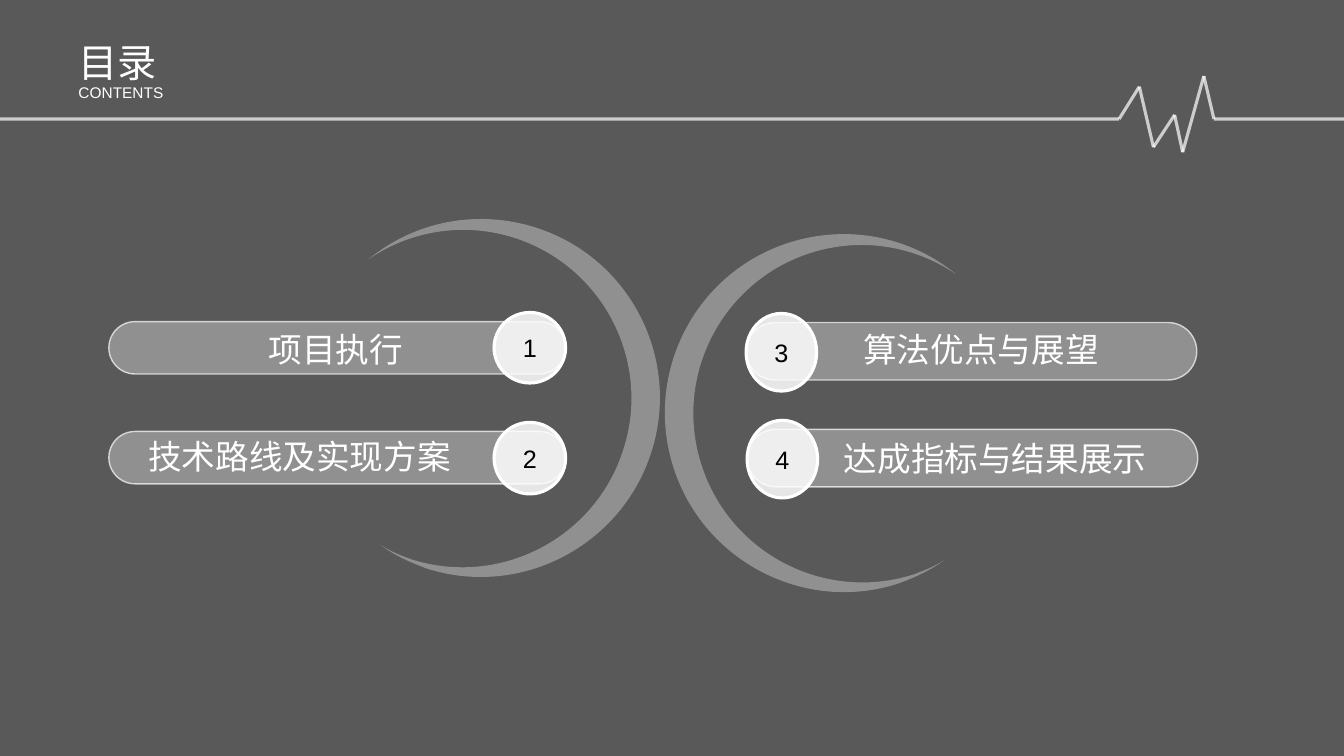
from math import cos, radians, sin
from lxml import etree
from pptx import Presentation
from pptx.dml.color import RGBColor
from pptx.enum.shapes import MSO_CONNECTOR, MSO_SHAPE
from pptx.enum.text import MSO_ANCHOR, MSO_AUTO_SIZE, PP_ALIGN
from pptx.oxml.ns import qn
from pptx.util import Inches, Pt

RECT, PILL, DISC = MSO_SHAPE.RECTANGLE, MSO_SHAPE.ROUNDED_RECTANGLE, MSO_SHAPE.OVAL
LINE = MSO_CONNECTOR.STRAIGHT
MID, GROW = MSO_ANCHOR.MIDDLE, MSO_AUTO_SIZE.SHAPE_TO_FIT_TEXT
LEFT, MIDDLE = PP_ALIGN.LEFT, PP_ALIGN.CENTER
HUES = {"pale": "FCFCFC", "white": "FFFFFF", "black": "000000"}
CELL = Inches(0.1)  # the slide is a grid of 133.33 columns by 75 rows


def paint(fill, hue, share=100):
    fill.solid()
    fill.fore_color.rgb = RGBColor.from_string(HUES[hue])
    if share < 100:
        for tone in fill._xPr.iter(qn("a:srgbClr")):
            etree.SubElement(tone, qn("a:alpha"), val=str(share * 1000))


def write(shape, text, size, hue, align):
    para = shape.text_frame.paragraphs[0]
    para.alignment = align
    run = para.add_run()
    run.text = text
    run.font.name, run.font.size = "Arial", Pt(size)
    run.font.color.rgb = RGBColor.from_string(HUES[hue])
    return para


deck = Presentation()
deck.slide_width, deck.slide_height = Inches(13.33), Inches(7.5)
slide = deck.slides.add_slide(deck.slide_layouts[6])
shapes = slide.shapes

# Dark veil over the whole slide
veil = shapes.add_shape(RECT, 0, 0, deck.slide_width, deck.slide_height)
veil.shadow.inherit = False
paint(veil.fill, "black", 65)
veil.line.fill.background()

# Pulse line under the title
pulse = [(0, 11.8), (111, 11.8), (113, 8.6), (114.4, 14.6), (116.5, 11.4),
         (117.3, 15.1), (119.4, 7.55), (120.4, 11.8), (133.3, 11.8)]
for start, end in zip(pulse, pulse[1:]):
    beat = shapes.add_connector(LINE, *[int(n * CELL) for n in start + end])
    beat.line.width = Pt(2.25)
    paint(beat.line.fill, "white", 70)
    etree.SubElement(beat._element.spPr, qn("a:effectLst"))

# Title
for text, size, top, wide, high, gap in [("目录", 28, 3.3, 38.8, 5.7, 1),
                                         ("CONTENTS", 11, 7.5, 43.5, 3, 1.14)]:
    box = shapes.add_textbox(*[int(n * CELL) for n in (6.8, top, wide, high)])
    box.text_frame.word_wrap = True
    box.text_frame.auto_size = GROW
    write(box, text, size, "white", LEFT).line_spacing = gap

# Crescents: a start point, then three points for each curve, mirrored on the right
moon = [(53.2, 22.6),
        (62.5, 25.6), (67.6, 35.6), (64.6, 44.9), (61.6, 54.2), (51.6, 59.4), (42.3, 56.4),
        (40.7, 55.8), (39.1, 55.1), (37.8, 54.1), (38.7, 54.7), (39.7, 55.1), (40.8, 55.5),
        (49.6, 58.3), (59, 53.4), (61.8, 44.7), (64.7, 35.9), (59.8, 26.4), (51, 23.6),
        (46, 22), (40.7, 22.9), (36.6, 25.7), (41.1, 22), (47.3, 20.7), (53.2, 22.6)]
hub, row, tilt = 49.1, 39.95, 17.8
lean = radians(tilt)
for side, mid, drop in [(1, hub, 0), (-1, 131.4 - hub, 1.5)]:
    edge = []
    for x, y in moon:
        dx, dy = x - hub, y - row
        edge.append((int((mid + side * (dx * cos(lean) + dy * sin(lean))) * CELL),
                     int((row + drop + dy * cos(lean) - dx * sin(lean)) * CELL)))
    pen = shapes.build_freeform(*edge[0])
    pen.add_line_segments(edge[1:], close=True)
    arc = pen.convert_to_shape()
    steps = list(arc._element.iter(qn("a:lnTo")))
    for first in range(0, 24, 3):
        curve = etree.Element(qn("a:cubicBezTo"))
        steps[first].addprevious(curve)
        for step in steps[first:first + 3]:
            curve.append(step[0])
            step.getparent().remove(step)
    arc.rotation = side * tilt
    arc.shadow.inherit = False
    paint(arc.fill, "pale", 34)
    arc.line.fill.background()

# Entries: number, text, pill, disc, text box, left inset, alignment
entries = [
    ("1", "项目执行", (10.8, 31.9, 45.3, 5.2), (49, 31, 7.1, 7),
     (10.5, 32.1, 45.6, 5), 1, MIDDLE),
    ("3", "算法优点与展望", (74, 32, 44.7, 5.7), (74, 31.1, 7, 7.7),
     (74, 32.1, 46.6, 5), 1, MIDDLE),
    ("4", "达成指标与结果展示", (74.1, 42.6, 44.7, 5.7), (74.1, 41.7, 7, 7.7),
     (76, 43, 45.4, 5), 1, MIDDLE),
    ("2", "技术路线及实现方案", (10.8, 42.8, 45.3, 5.2), (49, 41.9, 7.1, 7.1),
     (6.3, 42.8, 45.6, 5), 8.4, LEFT),
]
for number, text, pill, disc, area, inset, align in entries:
    for kind, place, hue, share, width, rim in [(PILL, pill, "pale", 34, 1, 70),
                                                (DISC, disc, "white", 85, 2.25, 100)]:
        part = shapes.add_shape(kind, *[int(n * CELL) for n in place])
        part.shadow.inherit = False
        paint(part.fill, hue, share)
        part.line.width = Pt(width)
        paint(part.line.fill, "white", rim)
        if kind == PILL:
            part.adjustments[0] = 0.5
        else:
            part.text_frame.vertical_anchor = MID
            write(part, number, 18, "black", MIDDLE)
    box = shapes.add_textbox(*[int(n * CELL) for n in area])
    box.text_frame.word_wrap = True
    box.text_frame.auto_size = GROW
    box.text_frame.margin_left = int(inset * CELL)
    write(box, text, 24, "white", align)

deck.save("out.pptx")
